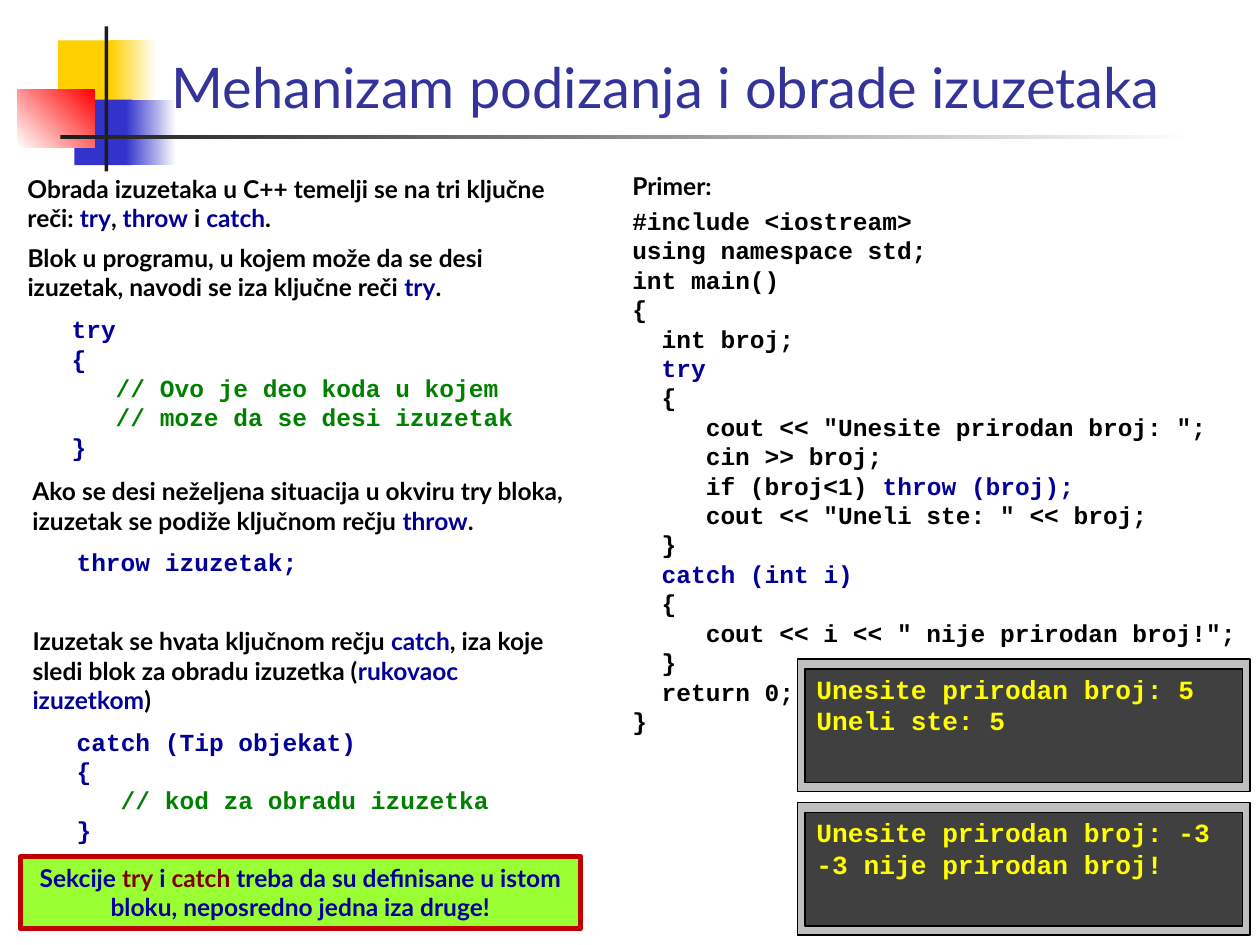
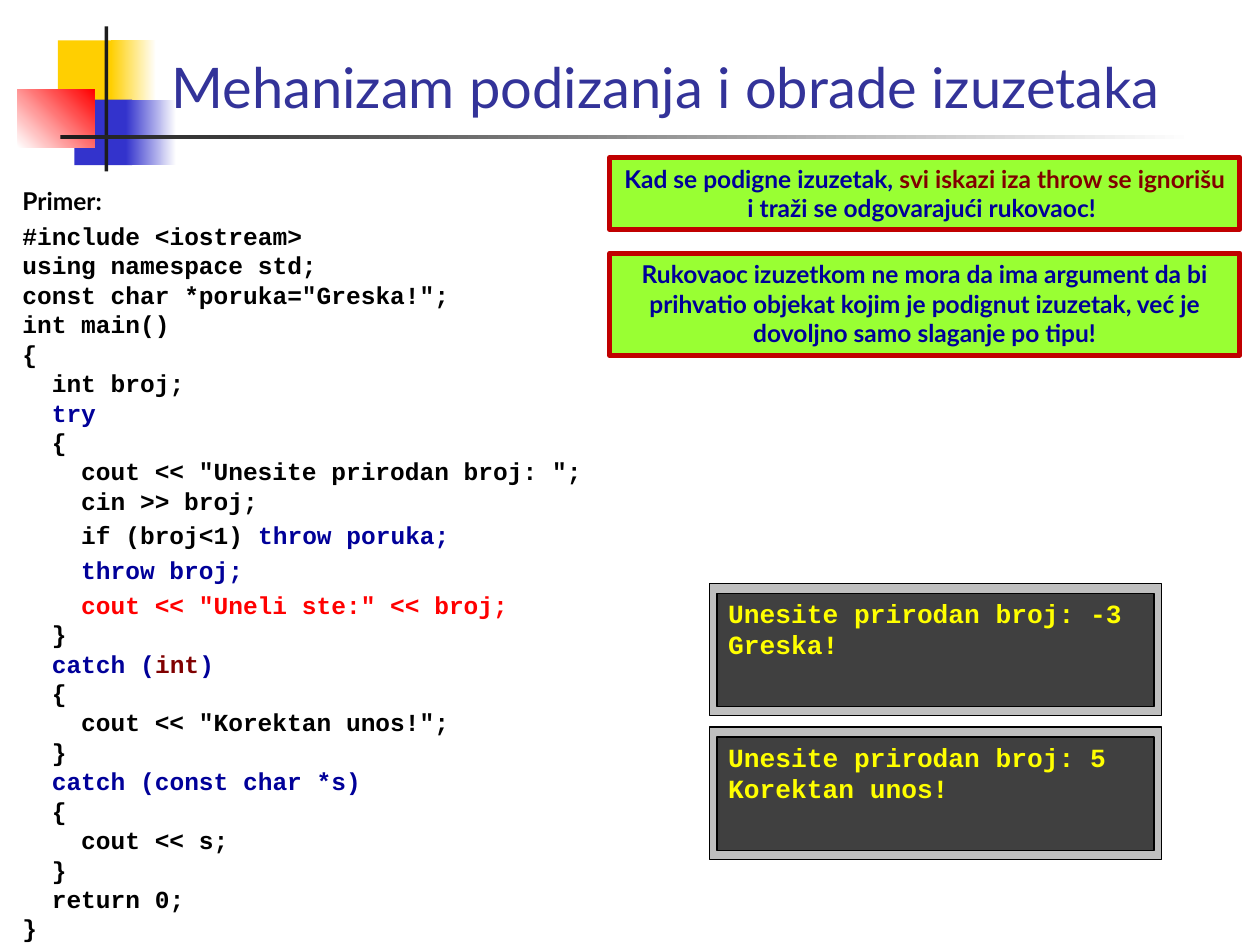
"""Build two slides on raising and handling exceptions in C++."""
import pptx
import pptx.dml.color
import pptx.enum.shapes
import pptx.enum.text
import pptx.util

Inches = pptx.util.Inches
Pt = pptx.util.Pt
RECTANGLE = pptx.enum.shapes.MSO_SHAPE.RECTANGLE
ALIGN = pptx.enum.text.PP_ALIGN
ANCHOR = pptx.enum.text.MSO_ANCHOR

BLACK, WHITE, CHARCOAL = "000000", "FFFFFF", "1C1C1C"
NAVY, MAROON, GREEN, RED = "000099", "800000", "008000", "FF0000"
GOLD, BLUE, TITLE_BLUE = "FFCF01", "3333CC", "333399"
LIME, CRIMSON, YELLOW = "99FF33", "C00000", "FFFF00"
SILVER, SCREEN = "BFBFBF", "404040"
PROSE, CODE = "Lato", "Courier New"
TEXT_SIZE = 14
CHARACTER_WIDTH = 0.6 * TEXT_SIZE / 72
TITLE = "Mehanizam podizanja i obrade izuzetaka"


def rgb(value):
    return pptx.dml.color.RGBColor.from_string(value)


def place(left, top, width, height):
    return [Inches(length) for length in (left, top, width, height)]


def navy(text):
    return (text, NAVY)


def maroon(text):
    return (text, MAROON)


def add_rectangle(shapes, area, fill, line=None, line_width=0):
    box = shapes.add_shape(RECTANGLE, *place(*area))
    box.shadow.inherit = False
    box.fill.solid()
    box.fill.fore_color.rgb = rgb(fill)
    if line:
        box.line.color.rgb = rgb(line)
        box.line.width = Pt(line_width)
    else:
        box.line.fill.background()
    return box


def add_gradient(shapes, area, start, end, angle=0):
    box = add_rectangle(shapes, area, start)
    box.fill.gradient()
    box.fill.gradient_angle = angle
    for stop, colour, position in zip(box.fill.gradient_stops, (start, end), (0, 1)):
        stop.color.rgb = rgb(colour)
        stop.position = position


def write(para, pieces, font=PROSE, colour=BLACK, size=TEXT_SIZE, bold=True):
    """Fill a paragraph with strings and (text, colour) pairs."""
    para.font.name = font
    para.font.size = Pt(size)
    para.font.bold = bold
    pairs = [(piece, colour) if isinstance(piece, str) else piece for piece in pieces]
    same_colour = len({shade for _, shade in pairs}) == 1
    if same_colour:
        para.font.color.rgb = rgb(pairs[0][1])
    for text, shade in pairs:
        span = para.add_run()
        span.text = text
        if not same_colour:
            span.font.color.rgb = rgb(shade)


def add_text_box(slide, area):
    box = slide.shapes.add_textbox(*place(*area))
    box.text_frame.word_wrap = True
    return box.text_frame


def write_code(frame, lines, indent=0, gap=3, spaced=()):
    """Add code lines, turning leading spaces into paragraph indents."""
    for number, line in enumerate(lines):
        pieces = [line] if isinstance(line, (str, tuple)) else list(line)
        first = pieces[0]
        text, colour = (first, BLACK) if isinstance(first, str) else first
        code = text.lstrip()
        pieces[0] = (code, colour)
        depth = indent + len(text) - len(code)
        para = frame.add_paragraph()
        para._p.get_or_add_pPr().set("marL", str(Inches(depth * CHARACTER_WIDTH)))
        para.space_before = Pt(gap if number == 0 else 3 if number in spaced else 0)
        write(para, pieces, CODE)


def add_explanation(slide, area, pieces, code=()):
    frame = add_text_box(slide, area)
    write(frame.paragraphs[0], pieces)
    write_code(frame, code, indent=3, gap=7)


def add_example(slide, area, code, spaced=()):
    frame = add_text_box(slide, area)
    write(frame.paragraphs[0], ["Primer:"])
    write_code(frame, code, spaced=spaced)


def add_callout(slide, area, pieces):
    box = add_rectangle(slide.shapes, area, LIME, CRIMSON, 3)
    box.text_frame.word_wrap = True
    box.text_frame.vertical_anchor = ANCHOR.TOP
    para = box.text_frame.paragraphs[0]
    para.alignment = ALIGN.CENTER
    write(para, pieces, colour=NAVY)


def add_console(slide, left, top, lines):
    monitor = slide.shapes.add_group_shape()
    add_rectangle(monitor.shapes, (left, top, 3.59, 1.05), SILVER, BLACK)
    add_rectangle(monitor.shapes, (left + 0.06, top + 0.08, 3.47, 0.9), SCREEN, BLACK)
    frame = add_text_box(slide, (left + 0.15, top + 0.06, 3.13, 0.61))
    frame.margin_left = frame.margin_right = 0
    for number, line in enumerate(lines):
        para = frame.add_paragraph() if number else frame.paragraphs[0]
        write(para, [line], CODE, YELLOW, 15)


def add_consoles(slide, left, top, outputs):
    for number, lines in enumerate(outputs):
        add_console(slide, left, top + number * 1.14, lines)


def decorate_layout(deck, layout):
    """Draw the shared squares and rules on the layout and set its title area."""
    drawing = deck.slides.add_slide(layout)
    shapes = drawing.shapes
    first = len(shapes)
    add_rectangle(shapes, (0.46, 0.32, 0.48, 0.52), GOLD)
    add_gradient(shapes, (0.88, 0.32, 0.36, 0.52), GOLD, WHITE)
    add_rectangle(shapes, (0.59, 0.79, 0.46, 0.52), BLUE)
    add_gradient(shapes, (1, 0.79, 0.4, 0.52), BLUE, WHITE)
    add_gradient(shapes, (0.14, 0.71, 0.61, 0.46), WHITE, RED, 45)
    add_rectangle(shapes, (0.83, 0.21, 0.03, 1.15), CHARCOAL)
    add_gradient(shapes, (0.48, 1.07, 9, 0.03), CHARCOAL, WHITE)
    for shape in list(shapes)[first:]:
        layout.shapes.element.append(shape.element)
    title = layout.placeholders[0]
    title.left, title.top, title.width, title.height = place(1.26, 0.13, 8.74, 0.87)
    title.text_frame.vertical_anchor = ANCHOR.BOTTOM
    return drawing


def add_title(slide):
    para = slide.shapes.title.text_frame.paragraphs[0]
    para.alignment = ALIGN.LEFT
    write(para, [TITLE], colour=TITLE_BLUE, size=32, bold=False)


def fill_mechanism_slide(slide):
    add_title(slide)
    add_explanation(slide, (0.12, 1.33, 4.34, 0.41), [
        "Obrada izuzetaka u C++ temelji se na tri ključne reči: ",
        navy("try"), ", ", navy("throw"), " i ", navy("catch"), "."])
    add_explanation(slide, (0.12, 1.88, 4.49, 1.97), [
        "Blok u programu, u kojem može da se desi izuzetak, navodi se iza ključne reči ",
        navy("try"), "."], [
        navy("try"),
        navy("{"),
        ("   // Ovo je deo koda u kojem", GREEN),
        ("   // moze da se desi izuzetak", GREEN),
        navy("}")])
    add_explanation(slide, (0.16, 3.73, 4.53, 1.19), [
        "Ako se desi neželjena situacija u okviru try bloka, "
        "izuzetak se podiže ključnom rečju ", navy("throw"), "."],
        [navy("throw izuzetak;")])
    add_explanation(slide, (0.16, 4.92, 4.45, 1.95), [
        "Izuzetak se hvata ključnom rečju ", navy("catch"),
        ", iza koje sledi blok za obradu izuzetka (",
        navy("rukovaoc izuzetkom"), ")"], [
        navy("catch (Tip objekat)"),
        navy("{"),
        ("   // kod za obradu izuzetka", GREEN),
        navy("}")])
    add_callout(slide, (0.16, 6.8, 4.45, 0.57), [
        "Sekcije ", maroon("try"), " i ", maroon("catch"),
        " treba da su definisane u istom bloku, neposredno jedna iza druge!"])
    add_example(slide, (4.92, 1.31, 5, 4.14), [
        "#include <iostream>",
        "using namespace std;",
        "int main()",
        "{",
        "  int broj;",
        navy("  try"),
        "  {",
        '     cout << "Unesite prirodan broj: ";',
        "     cin >> broj;",
        ["     if (broj<1) ", navy("throw (broj);")],
        '     cout << "Uneli ste: " << broj;',
        "  }",
        navy("  catch (int i)"),
        "  {",
        '     cout << i << " nije prirodan broj!";',
        "  }",
        "  return 0;",
        "}"])
    add_consoles(slide, 6.33, 5.23, [
        ["Unesite prirodan broj: 5", "Uneli ste: 5"],
        ["Unesite prirodan broj: -3", "-3 nije prirodan broj!"]])


def fill_handlers_slide(slide):
    add_title(slide)
    add_callout(slide, (4.84, 1.25, 5, 0.57), [
        "Kad se podigne izuzetak, ", maroon("svi iskazi iza throw se ignorišu"),
        " i traži se odgovarajući rukovaoc! "])
    add_example(slide, (0.08, 1.43, 5, 5.78), [
        "#include <iostream>",
        "using namespace std;",
        'const char *poruka="Greska!";',
        "int main()",
        "{",
        "  int broj;",
        navy("  try"),
        "  {",
        '    cout << "Unesite prirodan broj: ";',
        "    cin >> broj;",
        ["    if (broj<1) ", navy("throw poruka;")],
        navy("    throw broj;"),
        ('    cout << "Uneli ste:" << broj;', RED),
        "  }",
        [navy("  catch ("), maroon("int"), navy(")")],
        "  {",
        '    cout << "Korektan unos!";',
        "  }",
        navy("  catch (const char *s)"),
        "  {",
        "    cout << s;",
        "  }",
        "  return 0;",
        "}"], spaced=(10, 11, 12))
    add_consoles(slide, 5.63, 4.63, [
        ["Unesite prirodan broj: -3", "Greska!"],
        ["Unesite prirodan broj: 5", "Korektan unos!"]])
    add_callout(slide, (4.84, 2.01, 5, 0.81), [
        "Rukovaoc izuzetkom ne mora da ima argument da bi prihvatio objekat "
        "kojim je podignut izuzetak, već je dovoljno samo slaganje po tipu!"])


def main():
    deck = pptx.Presentation()
    deck.slide_width, deck.slide_height = Inches(10), Inches(7.5)
    layout = deck.slide_layouts.get_by_name("Title Only")
    fill_mechanism_slide(decorate_layout(deck, layout))
    fill_handlers_slide(deck.slides.add_slide(layout))
    deck.save("out.pptx")


if __name__ == "__main__":
    main()
